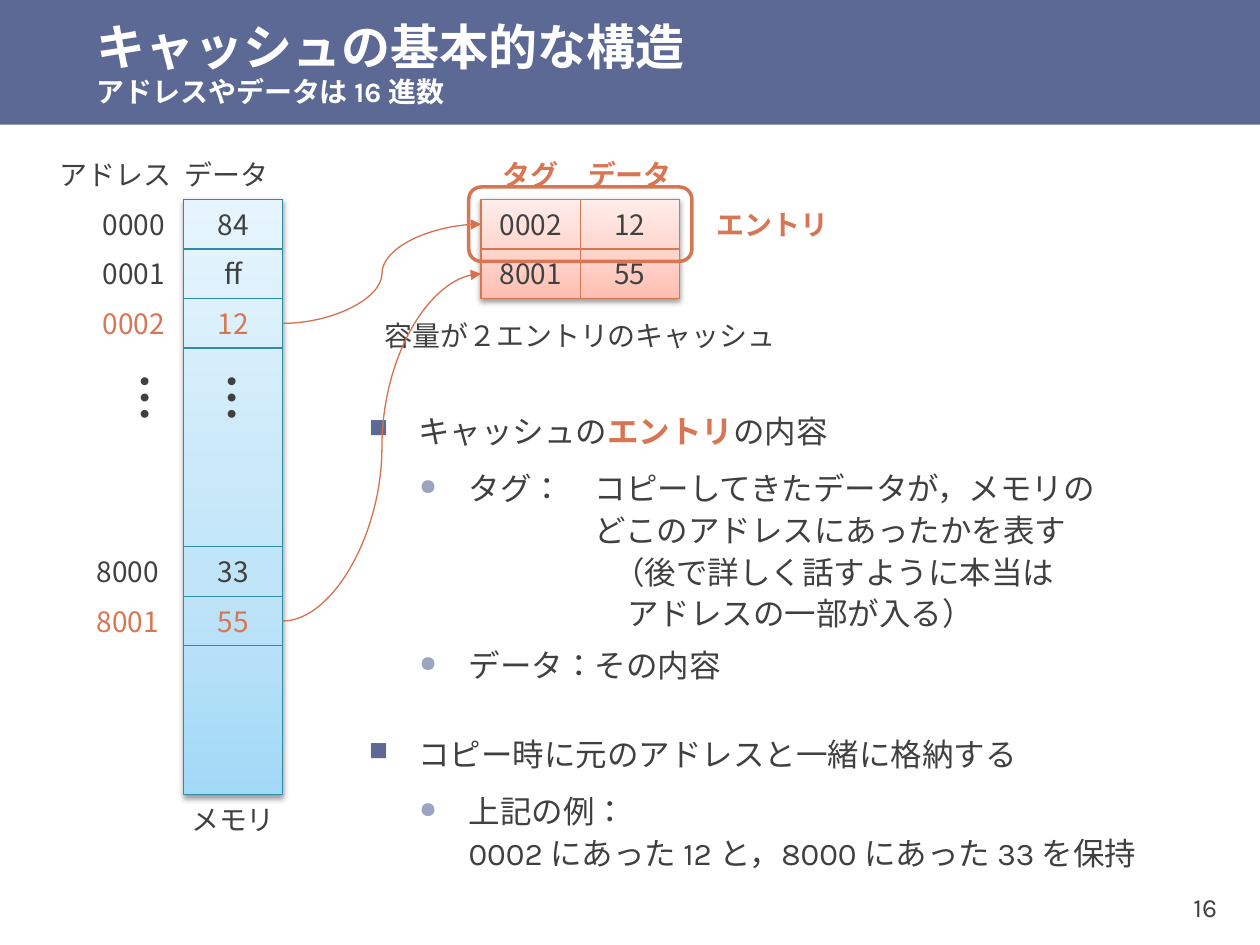
from dataclasses import dataclass

from lxml.etree import SubElement
from pptx import Presentation
from pptx.dml.color import RGBColor
from pptx.enum.lang import MSO_LANGUAGE_ID
from pptx.enum.shapes import MSO_CONNECTOR, MSO_SHAPE
from pptx.enum.text import MSO_ANCHOR, PP_ALIGN
from pptx.oxml import parse_xml
from pptx.oxml.ns import nsdecls, qn
from pptx.util import Inches, Pt


@dataclass(frozen=True)
class Theme:
    band: str = "5C6994"
    bullet: str = "9BA4C1"
    ink: str = "404040"
    white: str = "FFFFFF"
    accent: str = "D87552"
    accent_line: str = "D7714D"
    memory_line: str = "2E8DAB"
    memory_fill: tuple = ("A2D9F7", "BFE4F8", "E6F5FD")
    cache_fill: tuple = ("FFBEB0", "FFD0C7", "FFEDEA")
    latin: str = "Karla"
    cjk: str = "Noto Sans CJK JP"
    title: int = 28
    body: int = 18
    label: int = 16
    page: int = 15


T = Theme()
GRID = 1 / 2.54
MEMORY_X, CACHE_X, TOP = 3.7, 9.7, 4.02


def rgb(value):
    return RGBColor.from_string(value)


def grid(*units):
    return [Inches(u * GRID) for u in units]


def add_text(p, text, size=T.label, color=T.ink, bold=False, font=T.cjk):
    for i, part in enumerate(text.split("\n")):
        if i:
            p.add_line_break()
        r = p.add_run()
        r.text = part
        r.font.size = Pt(size)
        r.font.bold = bold
        r.font.color.rgb = rgb(color)
        r.font.name = font
        r.font.language_id = MSO_LANGUAGE_ID.JAPANESE
        SubElement(r.font._element, qn("a:ea")).set("typeface", T.cjk)


def set_frame(sp, wrap=False, insets=(0.1, 0.05)):
    tf = sp.text_frame
    tf.word_wrap = wrap
    tf.vertical_anchor = MSO_ANCHOR.MIDDLE
    tf.margin_left = tf.margin_right = Inches(insets[0])
    tf.margin_top = tf.margin_bottom = Inches(insets[1])
    return tf


def add_box(s, x, y, w, h, line=None, width=0.75, kind=MSO_SHAPE.RECTANGLE):
    sp = s.shapes.add_shape(kind, *grid(x, y, w, h))
    sp.shadow.inherit = False
    sp.fill.background()
    if line:
        sp.line.color.rgb = rgb(line)
        sp.line.width = Pt(width)
    else:
        sp.line.fill.background()
    return sp


def add_label(s, text, x, y, w=2, line=None, align=PP_ALIGN.CENTER, rotation=0, **fmt):
    sp = add_box(s, x, y, w, 1, line)
    sp.rotation = rotation
    p = set_frame(sp).paragraphs[0]
    p.alignment = align
    add_text(p, text, **fmt)


def add_block(s, x, y, w, h, colors, line):
    sp = add_box(s, x, y, w, h, line)
    stops = "".join(
        f'<a:gs pos="{pos}"><a:srgbClr val="{color}"/></a:gs>'
        for pos, color in zip((0, 35000, 100000), colors)
    )
    spPr = sp._element.spPr
    spPr.replace(spPr.find(qn("a:noFill")), parse_xml(
        f'<a:gradFill {nsdecls("a")} rotWithShape="1"><a:gsLst>{stops}</a:gsLst>'
        '<a:lin ang="16200000" scaled="0"/></a:gradFill>'))
    spPr.find(qn("a:effectLst")).append(parse_xml(
        f'<a:outerShdw {nsdecls("a")} blurRad="40000" dist="20000" dir="5400000" '
        'rotWithShape="0"><a:srgbClr val="000000"><a:alpha val="38000"/>'
        '</a:srgbClr></a:outerShdw>'))


def add_arrow(s, y_from, y_to):
    cx = s.shapes.add_connector(
        MSO_CONNECTOR.CURVE, *grid(MEMORY_X + 2, y_from, CACHE_X, y_to))
    cx.line.color.rgb = rgb(T.accent_line)
    cx.line.width = Pt(0.75)
    SubElement(cx.line._get_or_add_ln(), qn("a:tailEnd")).set("type", "triangle")
    SubElement(cx._element.spPr, qn("a:effectLst"))


def add_paragraph(tf, runs, left, before=0, after=0, bullet=None, level=0):
    p = tf.paragraphs[0] if not tf.text else tf.add_paragraph()
    p.level = level
    p.line_spacing = 1.1
    p.space_before, p.space_after = Pt(before), Pt(after)
    pPr = p._p.get_or_add_pPr()
    pPr.set("marL", str(Inches(left)))
    pPr.set("indent", str(Inches(-0.39 if bullet else 0)))
    if bullet:
        char, color, size = bullet
        SubElement(SubElement(pPr, qn("a:buClr")), qn("a:srgbClr")).set("val", color)
        SubElement(pPr, qn("a:buSzPct")).set("val", str(size * 1000))
        SubElement(pPr, qn("a:buChar")).set("char", char)
    for text, fmt in runs:
        add_text(p, text, size=T.body, font=T.latin, **fmt)


def add_topic(tf, *runs):
    add_paragraph(tf, runs, 0.39, 24, 6, ("■", T.band, 83))


def add_item(tf, text, after=3):
    add_paragraph(tf, [(text, {})], 0.79, 3, after, ("●", T.bullet, 70), 1)


def add_header(s):
    band = s.shapes.add_shape(MSO_SHAPE.RECTANGLE, 0, 0, Inches(10), Inches(0.99))
    band.shadow.inherit = False
    band.fill.solid()
    band.fill.fore_color.rgb = rgb(T.band)
    band.line.fill.background()
    sp = s.shapes.add_textbox(Inches(0.67), 0, Inches(9.33), Inches(0.99))
    p = set_frame(sp, wrap=True, insets=(0.1, 0)).paragraphs[0]
    fmt = dict(color=T.white, bold=True, font=T.latin)
    add_text(p, "キャッシュの基本的な構造\n", size=T.title, **fmt)
    add_text(p, "アドレスやデータは 16 進数", size=T.label, **fmt)


def add_page_number(s):
    sp = s.shapes.add_textbox(Inches(8.94), Inches(6.9), Inches(0.79), Inches(0.6))
    p = set_frame(sp, insets=(0.07, 0.04)).paragraphs[0]
    p.alignment = PP_ALIGN.RIGHT
    add_text(p, "16", size=T.page, font=T.latin)


def add_body(s):
    sp = s.shapes.add_textbox(Inches(2.83), Inches(3.26), Inches(6.89), Inches(3.64))
    tf = set_frame(sp, wrap=True)
    add_topic(tf, ("キャッシュの", {}),
              ("エントリ", dict(color=T.accent, bold=True)), ("の内容", {}))
    add_item(tf, "タグ：　コピーしてきたデータが，メモリの", after=0)
    for text, left, after in (("どこのアドレスにあったかを表す", 1.79, 0),
                              ("（後で詳しく話すように本当は", 1.94, 0),
                              ("アドレスの一部が入る）", 2.05, 3)):
        add_paragraph(tf, [(text, {})], left, after=after, level=1)
    add_item(tf, "データ：その内容")
    add_topic(tf, ("コピー時に元のアドレスと一緒に格納する", {}))
    add_item(tf, "上記の例：\n0002 にあった 12 と，8000 にあった 33 を保持")


def add_memory(s):
    add_block(s, MEMORY_X, TOP, 2, 12, T.memory_fill, T.memory_line)
    add_label(s, "アドレス", 1.7, TOP - 1, 1.25)
    add_label(s, "データ", 3.95, TOP - 1, 1.25)
    for row, address, value, x, w, color in (
            (0, "0000", "84", 1.7, 2, T.ink), (1, "0001", "ff", 1.7, 2, T.ink),
            (2, "0002", "12", 1.7, 2, T.accent), (7, "8000", "33", 1.95, 1.25, T.ink),
            (8, "8001", "55", 1.95, 1.25, T.accent)):
        add_label(s, address, x, TOP + row, w, color=color)
        add_label(s, value, MEMORY_X, TOP + row, line=T.memory_line, color=color)
    for x in (1.95, MEMORY_X):
        add_label(s, "…", x, TOP + 3.5, rotation=90, size=T.title, bold=True)
    add_label(s, "メモリ", MEMORY_X, TOP + 12)


def add_cache(s):
    add_block(s, CACHE_X, TOP, 4, 2, T.cache_fill, T.accent_line)
    heading = dict(color=T.accent, bold=True)
    columns = (("タグ", "0002", "8001"), ("データ", "12", "55"))
    for col, (name, *values) in enumerate(columns):
        x = CACHE_X + 2 * col
        add_label(s, name, x, TOP - 1, **heading)
        for row, value in enumerate(values):
            add_label(s, value, x, TOP + row, line=T.accent)
    add_label(s, "容量が２エントリのキャッシュ", CACHE_X + 1, TOP + 2.25)
    add_arrow(s, TOP + 2.5, TOP + 0.5)
    add_arrow(s, TOP + 8.5, TOP + 1.5)
    add_box(s, CACHE_X - 0.25, TOP - 0.25, 4.5, 1.5, T.accent, 2,
            MSO_SHAPE.ROUNDED_RECTANGLE)
    add_label(s, "エントリ", CACHE_X + 4.5, TOP, align=PP_ALIGN.LEFT, **heading)


def main():
    prs = Presentation()
    prs.slide_width, prs.slide_height = Inches(10), Inches(7.5)
    s = prs.slides.add_slide(prs.slide_layouts[6])
    add_header(s)
    add_page_number(s)
    add_body(s)
    add_memory(s)
    add_cache(s)
    prs.save("out.pptx")


if __name__ == "__main__":
    main()
